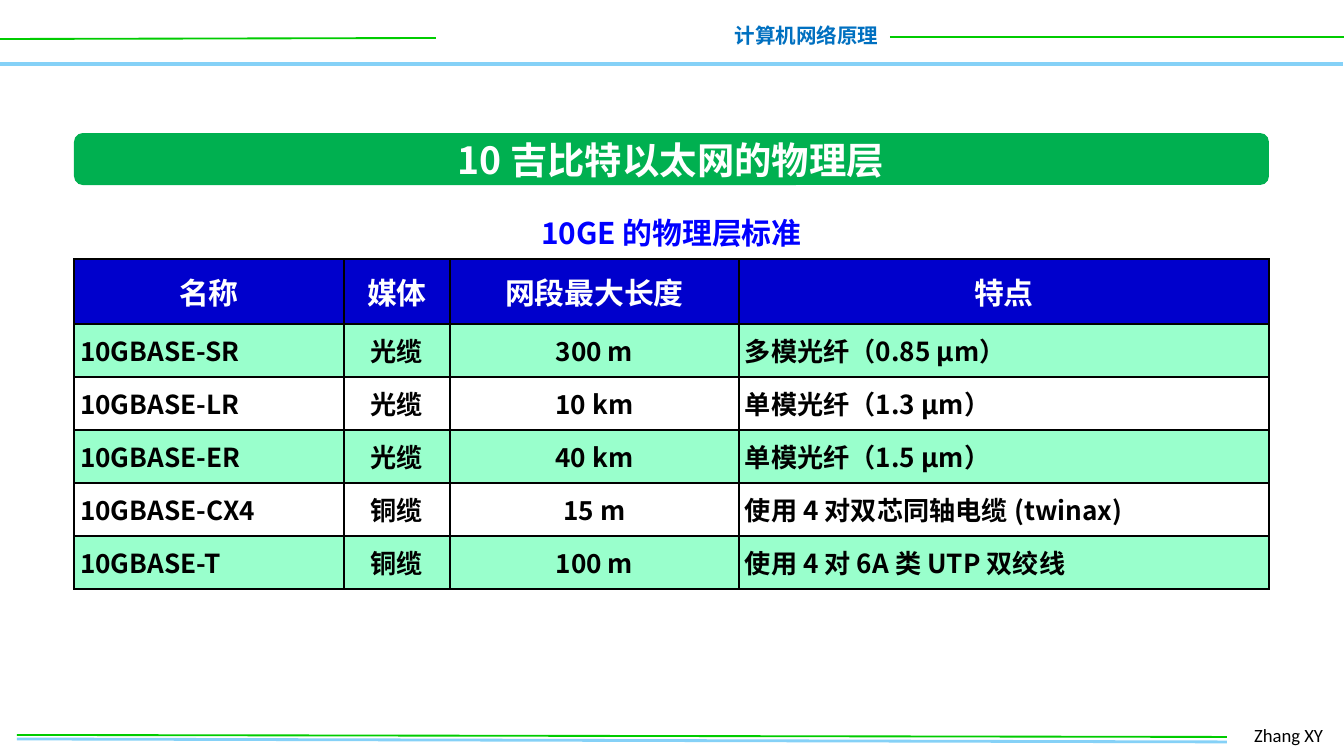
"""Build the slide on the physical layer standards of 10 gigabit Ethernet."""
from lxml import etree
from pptx import Presentation
from pptx.dml.color import RGBColor
from pptx.enum.shapes import MSO_CONNECTOR, MSO_SHAPE
from pptx.enum.text import MSO_ANCHOR, MSO_AUTO_SIZE, PP_ALIGN
from pptx.oxml import parse_xml
from pptx.oxml.ns import nsdecls, qn
from pptx.util import Pt

PX = 914400 / 134.4
LEFT, CENTER, RIGHT, JUSTIFY = PP_ALIGN.LEFT, PP_ALIGN.CENTER, PP_ALIGN.RIGHT, PP_ALIGN.JUSTIFY
MIDDLE, TOP = MSO_ANCHOR.MIDDLE, MSO_ANCHOR.TOP
STRAIGHT, ROUNDED = MSO_CONNECTOR.STRAIGHT, MSO_SHAPE.ROUNDED_RECTANGLE
FIXED_SIZE = MSO_AUTO_SIZE.NONE
CJK = "Noto Sans CJK SC"
rgb = RGBColor.from_string


def px(*lengths):
    return [round(length * PX) for length in lengths]


def write(frame, text, size, color, align, font=CJK, bold=True):
    paragraph = frame.paragraphs[0]
    paragraph.text = text
    paragraph.alignment = align
    paragraph.font.size = Pt(size)
    paragraph.font.bold = bold
    paragraph.font.name = font
    paragraph.font.color.rgb = rgb(color)
    latin = paragraph._p.find(".//" + qn("a:latin"))
    latin.addnext(parse_xml(f'<a:ea {nsdecls("a")} typeface="{font}"/>'))


prs = Presentation()
prs.slide_width, prs.slide_height = px(1344, 756)
slide = prs.slides.add_slide(prs.slide_layouts[5])
shapes = slide.shapes

rules = [
    (-1, 64, 1343, 64, "85D1F7", 2),
    (0, 39, 436, 38, "00CC00", 1),
    (890, 37, 1345, 37, "00CC00", 1),
    (17, 739, 1227, 742, "85D1F7", 1.5),
    (17, 735, 1227, 737, "00CC00", 1),
]
for x1, y1, x2, y2, color, width in rules:
    rule = shapes.add_connector(STRAIGHT, *px(x1, y1, x2, y2))
    rule.line.color.rgb = rgb(color)
    rule.line.width = Pt(width)
    etree.SubElement(rule.element.spPr, qn("a:effectLst"))

banner = shapes.add_shape(ROUNDED, *px(74, 133, 1195, 52))
banner.adjustments[0] = 0.17
banner.shadow.inherit = False
banner.fill.solid()
banner.fill.fore_color.rgb = rgb("00B050")
banner.line.fill.background()

title = shapes.title
banner.element.addnext(title.element)
title.left, title.top, title.width, title.height = px(421, 130, 500, 59)
title.text_frame.word_wrap = True
title.text_frame.auto_size = FIXED_SIZE
title.text_frame.vertical_anchor = TOP
write(title.text_frame, "10 吉比特以太网的物理层", 20, "FFFFFF", CENTER)

labels = [
    ((720, 16, 172, 39), "计算机网络原理", 11, "0070C0", RIGHT, CJK, True),
    ((1241, 717, 99, 36), "Zhang XY", 10, "000000", LEFT, "Calibri", False),
    ((524, 208, 295, 50), "10GE 的物理层标准", 16, "0000FF", CENTER, CJK, True),
]
for place, *text_style in labels:
    label = shapes.add_textbox(*px(*place))
    label.text_frame.word_wrap = False
    write(label.text_frame, *text_style)

standards = [
    ("名称", "媒体", "网段最大长度", "特点"),
    ("10GBASE-SR", "光缆", "300 m", "多模光纤（0.85 μm）"),
    ("10GBASE-LR", "光缆", "10 km", "单模光纤（1.3 μm）"),
    ("10GBASE-ER", "光缆", "40 km", "单模光纤（1.5 μm）"),
    ("10GBASE-CX4", "铜缆", "15 m", "使用 4 对双芯同轴电缆 (twinax)"),
    ("10GBASE-T", "铜缆", "100 m", "使用 4 对 6A 类 UTP 双绞线"),
]
column_aligns = (JUSTIFY, CENTER, CENTER, JUSTIFY)
table = shapes.add_table(6, 4, *px(74, 259, 1195, 330)).table
for column, width in zip(table.columns, px(270, 106, 289, 530)):
    column.width = width
for row, height in zip(table.rows, px(65, *[53] * 5)):
    row.height = height

for r, standard in enumerate(standards):
    for c, text in enumerate(standard):
        cell = table.cell(r, c)
        cell.vertical_anchor = MIDDLE
        cell.margin_left, cell.margin_right, cell.margin_top, cell.margin_bottom = px(6, 6, 0, 0)
        for side in ("lnL", "lnR", "lnT", "lnB"):
            cell._tc.tcPr.append(parse_xml(
                f'<a:{side} {nsdecls("a")} w="12700"><a:solidFill>'
                f'<a:srgbClr val="000000"/></a:solidFill></a:{side}>'))
        cell.fill.solid()
        if r == 0:
            cell.fill.fore_color.rgb = rgb("0000CC")
            write(cell.text_frame, text, 16, "FFFFFF", CENTER)
        else:
            cell.fill.fore_color.rgb = rgb("99FFCC" if r % 2 else "FFFFFF")
            write(cell.text_frame, text, 14, "000000", column_aligns[c])

prs.save("out.pptx")
